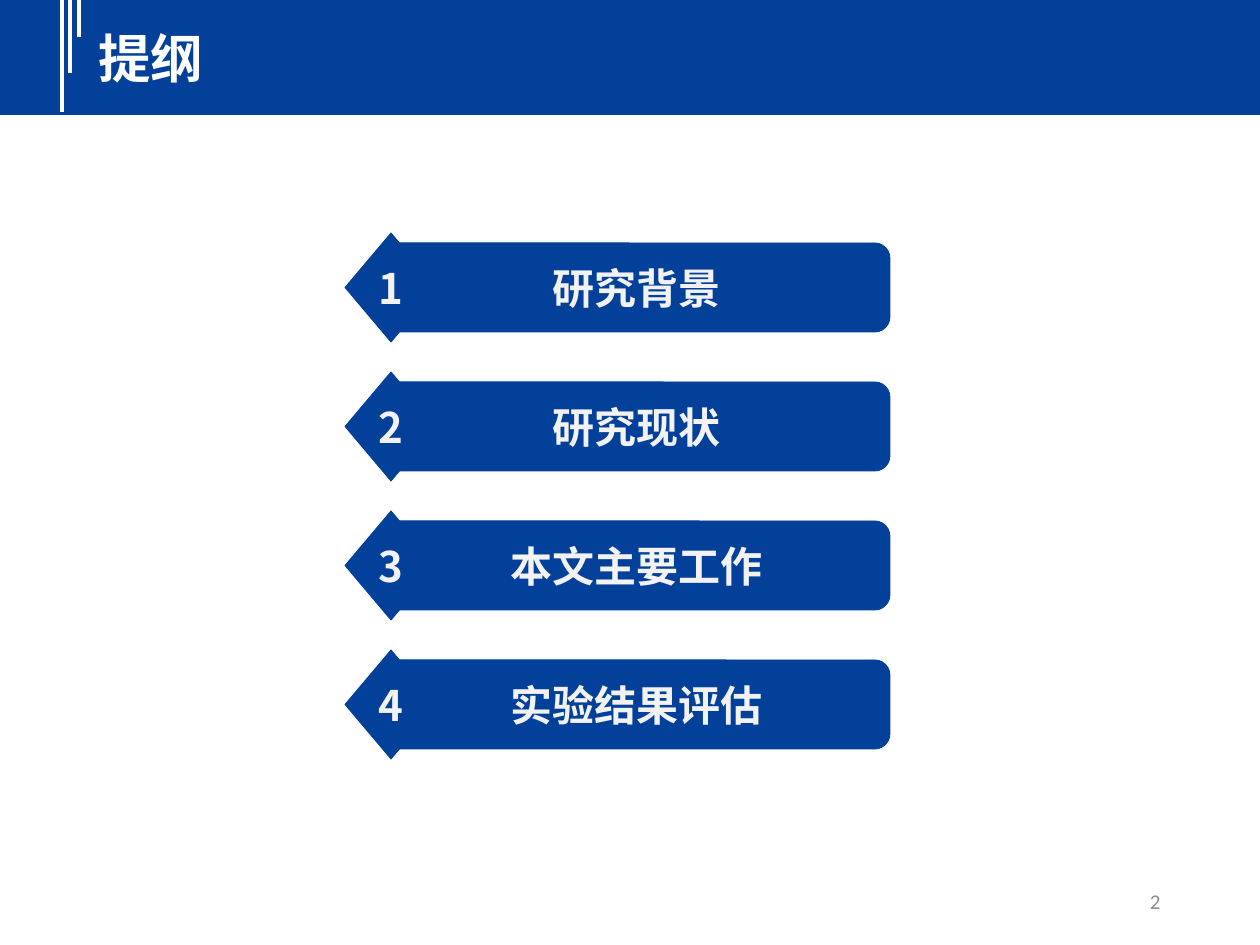
import dataclasses

import pptx
import pptx.dml.color
import pptx.enum.shapes
import pptx.enum.text
import pptx.oxml
import pptx.oxml.ns
import pptx.util

SHAPES = pptx.enum.shapes.MSO_SHAPE
ALIGN = pptx.enum.text.PP_ALIGN
ANCHOR = pptx.enum.text.MSO_ANCHOR
EMU_PER_PX = 914400 / 126


@dataclasses.dataclass(frozen=True)
class Theme:
    blue: str = "02409A"
    white: str = "FFFFFF"
    label: str = "F2F2F2"
    grey: str = "8C8C8C"
    latin: str = "Calibri"
    chinese: str = "Noto Sans CJK SC"
    title_size: int = 30
    item_size: int = 24
    number_size: int = 12
    stripe_width: float = 2.25
    outline_width: float = 0.5


THEME = Theme()


def px(*lengths):
    return [pptx.util.Emu(round(length * EMU_PER_PX)) for length in lengths]


def rgb(code):
    return pptx.dml.color.RGBColor.from_string(code)


def write(shape, text, size, color, font, bold=True, align=ALIGN.LEFT,
          anchor=ANCHOR.MIDDLE, wrap=True):
    frame = shape.text_frame
    frame.word_wrap = wrap
    frame.vertical_anchor = anchor
    para = frame.paragraphs[0]
    para.text = text
    para.alignment = align
    para.font.size = pptx.util.Pt(size)
    para.font.bold = bold
    para.font.color.rgb = rgb(color)
    para.font.name = font
    # Chinese glyphs take their typeface from the East Asian slot.
    defaults = para._p.pPr.find(pptx.oxml.ns.qn("a:defRPr"))
    east_asian = pptx.oxml.parse_xml(
        f'<a:ea {pptx.oxml.ns.nsdecls("a")} typeface="{THEME.chinese}"/>')
    defaults.append(east_asian)


def add_block(shapes, kind, box, outlined=True):
    """Add a flat blue shape."""
    block = shapes.add_shape(kind, *px(*box))
    block.shadow.inherit = False
    block.fill.solid()
    block.fill.fore_color.rgb = rgb(THEME.blue)
    if outlined:
        block.line.color.rgb = rgb(THEME.blue)
        block.line.width = pptx.util.Pt(THEME.outline_width)
    else:
        block.line.fill.background()
    return block


def add_header(page, box, title):
    left, top, width, height = box
    add_block(page.shapes, SHAPES.RECTANGLE, box, outlined=False)
    for index, length in enumerate((116, 77, 41)):
        x = left + 62 + round(8.5 * index)
        stripe = page.shapes.add_connector(
            pptx.enum.shapes.MSO_CONNECTOR.STRAIGHT,
            *px(x, top, x, top + length))
        stripe.line.color.rgb = rgb(THEME.white)
        stripe.line.width = pptx.util.Pt(THEME.stripe_width)
        stripe._element.spPr.append(pptx.oxml.parse_xml(
            f'<a:effectLst {pptx.oxml.ns.nsdecls("a")}/>'))
    heading = page.shapes.add_textbox(
        *px(left + 86, top + 24, width - 111, 77))
    write(heading, title, THEME.title_size, THEME.white, THEME.chinese,
          anchor=ANCHOR.TOP)
    heading.text_frame.auto_size = pptx.enum.text.MSO_AUTO_SIZE.SHAPE_TO_FIT_TEXT


def add_item(page, box, number, text):
    """Add a rounded bar with a numbered diamond over its left end."""
    left, top, width, height = box
    group = page.shapes.add_group_shape()
    bar = add_block(group.shapes, SHAPES.ROUNDED_RECTANGLE,
                    (left + 39, top + 10, width - 39, height - 20))
    bar.adjustments[0] = 0.17
    diamond = add_block(group.shapes, SHAPES.DIAMOND, (left, top, 92, height))
    for shape, words, font in ((bar, text, THEME.latin),
                               (diamond, str(number), THEME.chinese)):
        write(shape, words, THEME.item_size, THEME.label, font,
              align=ALIGN.CENTER, wrap=False)


def add_outline(page, box, items):
    left, top, width, height = box
    item_height = 109
    pitch = (height - item_height) / (len(items) - 1)
    for index, text in enumerate(items):
        add_item(page, (left, top + index * pitch, width, item_height),
                 index + 1, text)


def add_page_number(page, box, number):
    holder = page.shapes.add_textbox(*px(*box))
    write(holder, str(number), THEME.number_size, THEME.grey, THEME.latin,
          bold=False, align=ALIGN.RIGHT)


def main():
    deck = pptx.Presentation()
    deck.slide_width, deck.slide_height = px(1260, 945)
    page = deck.slides.add_slide(deck.slide_layouts[6])
    add_header(page, (0, -4, 1260, 119), "提纲")
    add_outline(page, (345, 233, 545, 526),
                ("研究背景", "研究现状", "本文主要工作", "实验结果评估"))
    add_page_number(page, (890, 876, 283, 50), 2)
    deck.save("out.pptx")


if __name__ == "__main__":
    main()
